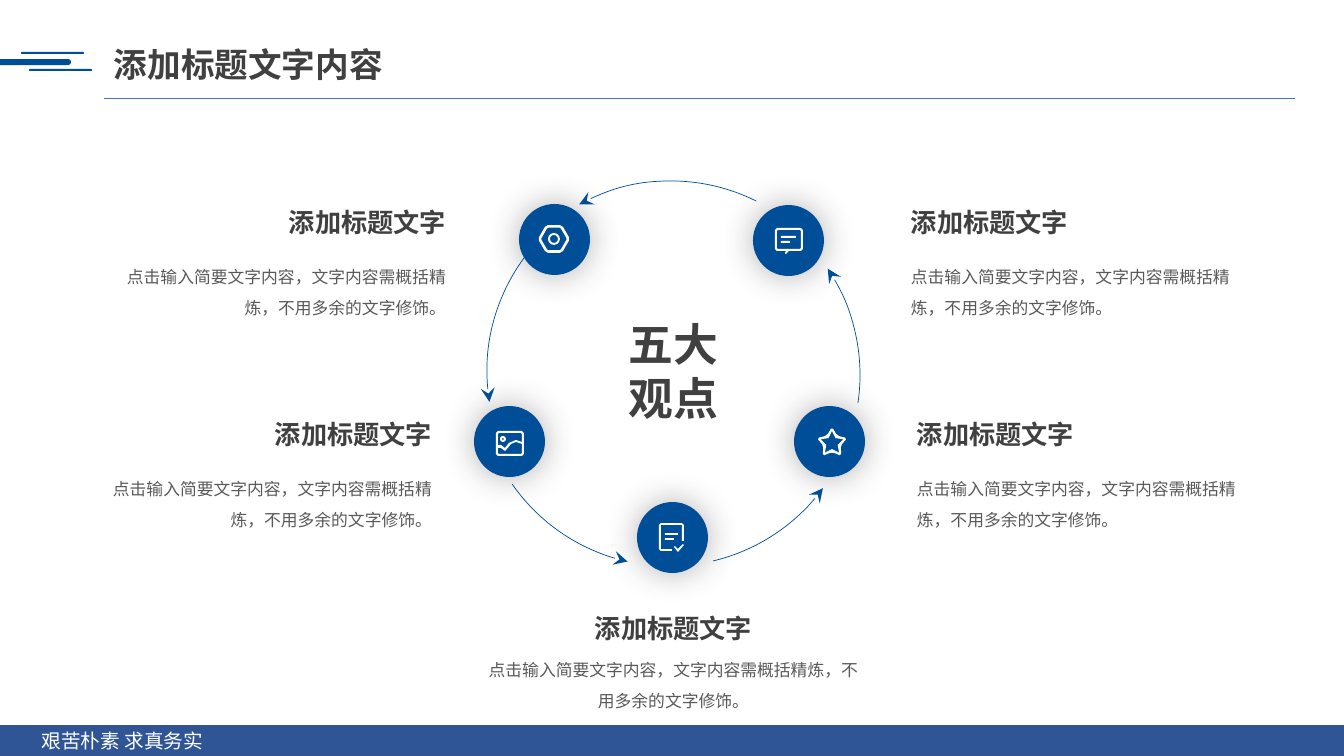
import math

import pptx
import pptx.dml.color
import pptx.enum.lang
import pptx.enum.shapes
import pptx.enum.text
import pptx.oxml
import pptx.oxml.ns
import pptx.util

RGBColor = pptx.dml.color.RGBColor
SHAPE = pptx.enum.shapes.MSO_SHAPE
ALIGN = pptx.enum.text.PP_ALIGN
qn = pptx.oxml.ns.qn

WHITE = RGBColor(0xFF, 0xFF, 0xFF)
CIRCLE_BLUE = RGBColor(0x00, 0x4E, 0x97)
DEEP_BLUE = RGBColor(0x00, 0x4E, 0x98)
RULE_BLUE = RGBColor(0x44, 0x72, 0xC4)
FOOTER_BLUE = RGBColor(0x2F, 0x55, 0x97)
FOOTER_EDGE = RGBColor(0x32, 0x54, 0x91)
HEADING_GRAY = RGBColor(0x40, 0x40, 0x40)
BODY_GRAY = RGBColor(0x59, 0x59, 0x59)

HEADING_FONT = "Roboto"
BODY_FONT = "Noto Sans CJK SC"
HEADING = "添加标题文字"
BODY = "点击输入简要文字内容，文字内容需概括精炼，不用多余的文字修饰。"
NAMESPACE = pptx.oxml.ns.nsdecls("a")


def beveled(points, cut):
    """Return the closed polygon with each corner cut off."""
    result = []
    for index, corner in enumerate(points):
        for neighbour in (points[index - 1], points[(index + 1) % len(points)]):
            share = cut / math.dist(corner, neighbour)
            result.append([c + (n - c) * share for c, n in zip(corner, neighbour)])
    return result


def box(left, top, right, bottom, cut=0):
    """Return a rectangle outline, with cut corners if asked."""
    corners = [(left, top), (right, top), (right, bottom), (left, bottom)]
    return beveled(corners, cut) if cut else corners


def radial(x, y, radii, count, cut=0, start=0):
    """Return a regular polygon or star whose corners cycle through radii."""
    corners = []
    for index in range(count):
        angle = math.radians(start + 360 * index / count)
        reach = radii[index % len(radii)]
        corners.append((x + reach * math.cos(angle), y + reach * math.sin(angle)))
    return beveled(corners, cut) if cut else corners


STAR = [radial(832, 443, (16, 9), 10, 2, -90), radial(832, 443, (12, 6), 10, 0, -90)]
HEXAGON = [radial(554, 239, (16,), 6, 2), radial(554, 239, (13,), 6, 1),
           radial(554, 239, (6,), 12), radial(554, 239, (4,), 12)]
BUBBLE = [box(775, 228, 803, 251, 2), box(777, 230, 801, 249, 1),
          box(781, 236, 796, 238), box(781, 241, 790, 243),
          [(786, 251), (789, 251), (786, 254), (785, 253)]]
PICTURE = [box(496, 431, 524, 456, 2), box(498, 433, 522, 454, 1),
           radial(503, 439, (3,), 10), radial(503, 439, (1,), 6),
           [(498, 445), (501, 445), (505, 448), (509, 443), (516, 440),
            (522, 442), (522, 444), (516, 442), (511, 444), (507, 449),
            (505, 451), (501, 448), (498, 448)]]
CHECKLIST = [[(684, 541), (684, 525), (682, 523), (661, 523), (659, 525),
              (659, 549), (661, 551), (672, 551), (672, 549), (661, 549),
              (661, 525), (682, 525), (682, 541)],
             box(665, 533, 678, 535), box(665, 538, 674, 540),
             [(674, 547), (675, 546), (678, 549), (683, 544), (684, 545), (678, 552)]]

VIEWPOINTS = [
    (519, 204, HEXAGON, ALIGN.RIGHT, 456, 201, 51, 341),
    (753, 205, BUBBLE, ALIGN.LEFT, 901, 201, 51, 341),
    (474, 406, PICTURE, ALIGN.RIGHT, 442, 413, 51, 341),
    (637, 502, CHECKLIST, ALIGN.CENTER, 674, 607, 38, 395),
    (794, 406, STAR, ALIGN.LEFT, 907, 413, 51, 341),
]
ARCS = [
    (480, 181, 0, 144.77, 177.92),
    (478, 184, 167.7, 137.17, 161.4),
    (478, 184, 106.4, 131.88, 157.22),
    (487, 180, 292.9, 142.67, 170.3),
    (478, 184, 232.5, 138.01, 163.61),
]


class SlideBuilder:
    """Holds the slide, its scale and its drawing style."""

    EMU_PER_PX = 914400 / 100.8

    def __init__(self, presentation):
        """Set the slide size and add one blank slide."""
        presentation.slide_width = self.px(1344)
        presentation.slide_height = self.px(756)
        self.shapes = presentation.slides.add_slide(presentation.slide_layouts[6]).shapes

    def px(self, length):
        """Turn px into EMU."""
        return pptx.util.Emu(round(length * self.EMU_PER_PX))

    def paint(self, shape, fill, line=None, width=1):
        """Set fill and line and remove the shadow."""
        shape.shadow.inherit = False
        if fill is None:
            shape.fill.background()
        else:
            shape.fill.solid()
            shape.fill.fore_color.rgb = fill
        if line is None:
            shape.line.fill.background()
        else:
            shape.line.color.rgb = line
            shape.line.width = pptx.util.Pt(width)

    def shape(self, kind, bounds, fill, line=None, width=1):
        """Add a preset shape."""
        shape = self.shapes.add_shape(kind, *map(self.px, bounds))
        self.paint(shape, fill, line, width)
        return shape

    def circle(self, left, top):
        """Add a blue circle with a soft shadow."""
        shape = self.shape(SHAPE.OVAL, (left, top, 71, 71), CIRCLE_BLUE)
        shape.element.spPr.find(qn("a:effectLst")).append(pptx.oxml.parse_xml(
            f'<a:outerShdw {NAMESPACE} blurRad="304800" dist="0" dir="0" algn="ctr" '
            f'rotWithShape="0"><a:srgbClr val="{HEADING_GRAY}">'
            '<a:alpha val="40000"/></a:srgbClr></a:outerShdw>'))

    def icon(self, contours):
        """Add a white icon from closed contours."""
        builder = None
        for contour in contours:
            points = [(self.px(x), self.px(y)) for x, y in contour]
            if builder is None:
                builder = self.shapes.build_freeform(*points[0])
            else:
                builder.move_to(*points[0])
            builder.add_line_segments(points[1:], close=True)
        self.paint(builder.convert_to_shape(), WHITE)

    def arc(self, left, top, rotation, start, end):
        """Add a thin arc with an arrowhead at its start."""
        shape = self.shape(SHAPE.ARC, (left, top, 382, 382), None, DEEP_BLUE, 0.5)
        shape.rotation = rotation
        shape.adjustments[0] = start
        shape.adjustments[1] = end
        shape.element.spPr.find(qn("a:ln")).append(pptx.oxml.parse_xml(
            f'<a:headEnd {NAMESPACE} type="stealth" w="lg" len="lg"/>'))

    def bar(self, *bounds):
        """Add a bar with round ends."""
        self.shape(SHAPE.ROUNDED_RECTANGLE, bounds, DEEP_BLUE).adjustments[0] = 0.5

    def rule(self, left, right, y):
        """Add a thin horizontal line."""
        connector = self.shapes.add_connector(
            pptx.enum.shapes.MSO_CONNECTOR.STRAIGHT, *map(self.px, (left, y, right, y)))
        connector.line.color.rgb = RULE_BLUE
        connector.line.width = pptx.util.Pt(0.5)
        connector.element.spPr.append(pptx.oxml.parse_xml(f"<a:effectLst {NAMESPACE}/>"))

    def text(self, words, bounds, size, color=HEADING_GRAY, align=ALIGN.LEFT,
             bold=True, name=HEADING_FONT, spacing=None):
        """Add a text box with one run."""
        frame = self.shapes.add_textbox(*map(self.px, bounds)).text_frame
        frame.word_wrap = True
        frame.auto_size = pptx.enum.text.MSO_AUTO_SIZE.SHAPE_TO_FIT_TEXT
        paragraph = frame.paragraphs[0]
        paragraph.alignment = align
        paragraph.line_spacing = spacing
        run = paragraph.add_run()
        run.text = words
        run.font.name = name
        run.font.size = pptx.util.Pt(size)
        run.font.bold = bold
        run.font.color.rgb = color
        run.font.language_id = pptx.enum.lang.MSO_LANGUAGE_ID.SIMPLIFIED_CHINESE

    def viewpoint(self, align, anchor, top, gap, width):
        """Add a heading and its body text on a shared anchor."""
        share = {ALIGN.LEFT: 0, ALIGN.CENTER: 0.5, ALIGN.RIGHT: 1}[align]
        self.text(HEADING, (anchor - round(275 * share), top, 275, 42), 18.7, align=align)
        self.text(BODY, (anchor - round(width * share), top + gap, width, 68), 12,
                  BODY_GRAY, align, False, BODY_FONT, 1.5)


def main():
    """Build and save the slide."""
    presentation = pptx.Presentation()
    builder = SlideBuilder(presentation)
    builder.shape(SHAPE.OVAL, (496, 197, 353, 353), WHITE)
    for left, top, *_ in VIEWPOINTS:
        builder.circle(left, top)
    for _, _, contours, *_ in VIEWPOINTS:
        builder.icon(contours)
    for arc in ARCS:
        builder.arc(*arc)
    builder.text("五大观点", (605, 312, 137, 119), 32, align=ALIGN.CENTER)
    for _, _, _, *layout in VIEWPOINTS:
        builder.viewpoint(*layout)
    builder.bar(-92, 59, 163, 6)
    builder.bar(29, 69, 63, 2)
    builder.bar(21, 52, 63, 2)
    builder.text("添加标题文字内容", (104, 39, 375, 50), 24)
    builder.rule(104, 1295, 98)
    builder.shape(SHAPE.RECTANGLE, (0, 726, 1344, 30), FOOTER_BLUE, FOOTER_EDGE)
    builder.text("艰苦朴素 求真务实", (0, 724, 245, 34), 14, WHITE, ALIGN.CENTER, False)
    presentation.save("out.pptx")


if __name__ == "__main__":
    main()
